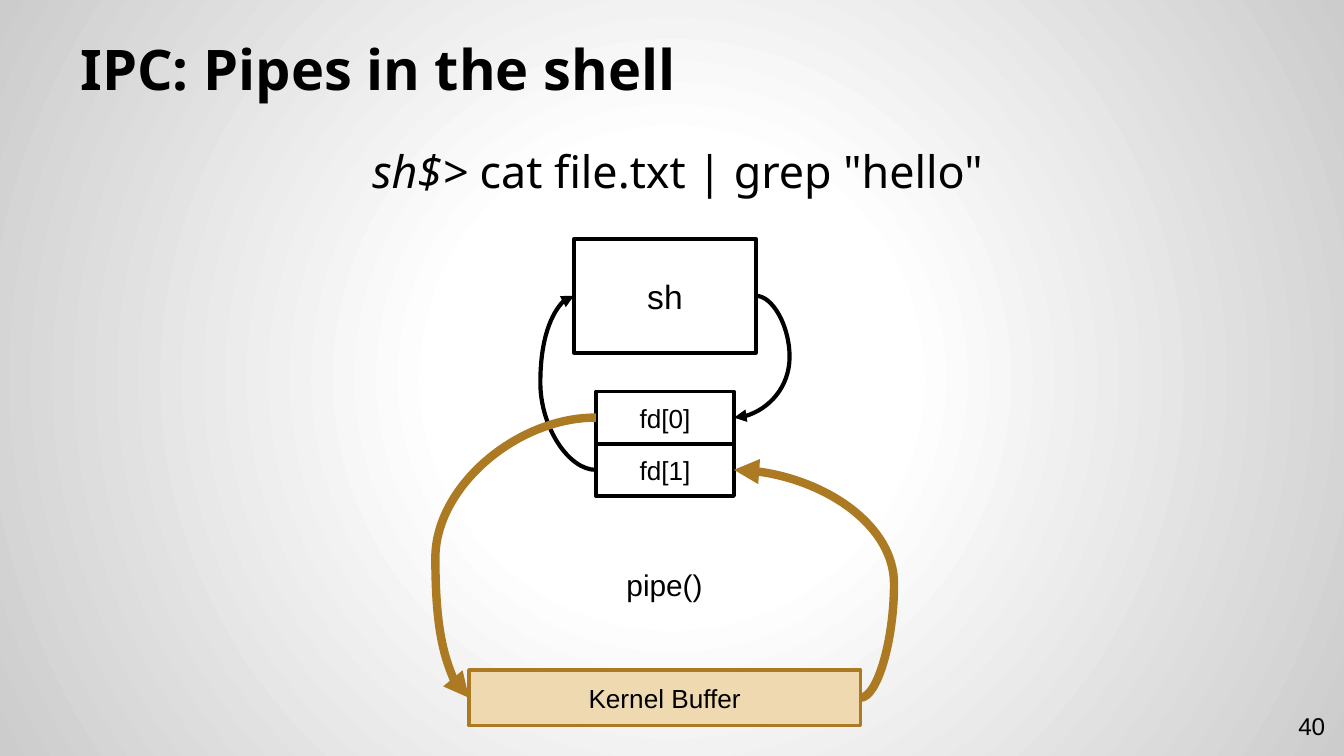
from lxml import etree
from pptx import Presentation
from pptx.dml.color import RGBColor
from pptx.enum.shapes import MSO_CONNECTOR, MSO_SHAPE
from pptx.enum.text import MSO_ANCHOR, PP_ALIGN
from pptx.oxml import parse_xml
from pptx.oxml.ns import nsdecls, qn
from pptx.util import Pt

RECTANGLE = MSO_SHAPE.RECTANGLE
CURVE = MSO_CONNECTOR.CURVE
TOP, MIDDLE, BOTTOM = MSO_ANCHOR.TOP, MSO_ANCHOR.MIDDLE, MSO_ANCHOR.BOTTOM
LEFT, CENTER, RIGHT = PP_ALIGN.LEFT, PP_ALIGN.CENTER, PP_ALIGN.RIGHT
LEFT_SITE, RIGHT_SITE = 1, 3

COLORS = {
    "black": "000000",
    "white": "FFFFFF",
    "edge gray": "CCCCCC",
    "gold": "AB7A22",
    "sand": "EFD9B0",
}
HEADING_FONT, DIAGRAM_FONT = "Noto Sans", "Arial"


def rgb(name):
    return RGBColor.from_string(COLORS[name])


class SlideBuilder:
    def __init__(self, slide):
        self.slide = slide

    def radial_background(self, inner, outer):
        stops = "".join(
            f'<a:gs pos="{position}"><a:srgbClr val="{COLORS[color]}"/></a:gs>'
            for position, color in ((0, inner), (30000, inner), (100000, outer))
        )
        background = parse_xml(
            f'<p:bg {nsdecls("p", "a")}><p:bgPr><a:gradFill><a:gsLst>{stops}</a:gsLst>'
            '<a:path path="circle"><a:fillToRect l="50000" t="50000" r="50000" b="50000"/>'
            "</a:path></a:gradFill><a:effectLst/></p:bgPr></p:bg>"
        )
        self.slide.element.cSld.insert(0, background)

    def add_runs(self, shape, runs, size, font, align, anchor):
        """Fill a shape with one paragraph; runs are (text, style) pairs."""
        frame = shape.text_frame
        frame.word_wrap = True
        frame.vertical_anchor = anchor
        paragraph = frame.paragraphs[0]
        paragraph.alignment = align
        for text, style in runs:
            run = paragraph.add_run()
            run.text = text
            run.font.name = font
            run.font.size = Pt(size)
            run.font.bold = style == "bold"
            run.font.italic = style == "italic"
            run.font.color.rgb = rgb("black")
        return paragraph

    def text(self, box, runs, size, font, align=CENTER, anchor=TOP, inset=7.2):
        shape = self.slide.shapes.add_textbox(*map(Pt, box))
        frame = shape.text_frame
        frame.margin_left = frame.margin_right = Pt(7.2)
        frame.margin_top = frame.margin_bottom = Pt(inset)
        return self.add_runs(shape, runs, size, font, align, anchor)

    def block(self, box, label, size, fill="white", line="black"):
        shape = self.slide.shapes.add_shape(RECTANGLE, *map(Pt, box))
        shape.shadow.inherit = False
        shape.fill.solid()
        shape.fill.fore_color.rgb = rgb(fill)
        shape.line.color.rgb = rgb(line)
        shape.line.width = Pt(2)
        self.add_runs(shape, [(label, None)], size, DIAGRAM_FONT, CENTER, MIDDLE)
        return shape

    def curved_arrow(self, start, end, site, bulge_x, color="black", width=2.25):
        """Join the same side of two blocks with a curve reaching out to bulge_x."""
        begin_x, end_x = (
            block.left + (block.width if site == RIGHT_SITE else 0)
            for block in (start, end)
        )
        begin_y, end_y = (block.top + block.height // 2 for block in (start, end))
        arrow = self.slide.shapes.add_connector(CURVE, begin_x, begin_y, end_x, end_y)
        arrow.begin_connect(start, site)
        arrow.end_connect(end, site)
        arrow.line.color.rgb = rgb(color)
        arrow.line.width = Pt(width)
        properties = arrow.element.spPr
        etree.SubElement(properties.find(qn("a:ln")), qn("a:tailEnd"), type="triangle")
        etree.SubElement(properties, qn("a:effectLst"))
        adjustment = round(100000 * (Pt(bulge_x) - begin_x) / (end_x - begin_x))
        guides = properties.find(qn("a:prstGeom")).get_or_add_avLst()
        etree.SubElement(guides, qn("a:gd"), name="adj1", fmla=f"val {adjustment}")


def main():
    presentation = Presentation()
    presentation.slide_width, presentation.slide_height = Pt(720), Pt(405)
    slide = presentation.slides.add_slide(presentation.slide_layouts[6])
    builder = SlideBuilder(slide)
    builder.radial_background("white", "edge gray")

    builder.text((36, 16.5, 648, 45), [("IPC: Pipes in the shell", "bold")],
                 30, HEADING_FONT, LEFT, BOTTOM)
    command = builder.text(
        (36, 70, 648, 317.5),
        [("sh$> ", "italic"), ('cat file.txt | grep "hello"', None)],
        24, HEADING_FONT,
    )
    command._p.get_or_add_pPr().set("marL", str(Pt(6)))
    builder.text((674, 373.5, 43, 31), [("40", None)], 13, DIAGRAM_FONT, RIGHT, MIDDLE)

    shell = builder.block((307.5, 128, 97.5, 61), "sh", 18)
    read_end, write_end = (
        builder.block((319.25, 209.75 + 28 * index, 74, 28), f"fd[{index}]", 14)
        for index in range(2)
    )
    builder.text((321, 300, 70, 27), [("pipe()", None)], 16, DIAGRAM_FONT, inset=3.6)
    kernel_buffer = builder.block((251.25, 359, 209.75, 29.75), "Kernel Buffer", 14,
                                  "sand", "gold")

    builder.curved_arrow(shell, read_end, RIGHT_SITE, 423)
    builder.curved_arrow(write_end, shell, LEFT_SITE, 289.5)
    builder.curved_arrow(read_end, kernel_buffer, LEFT_SITE, 233.25, "gold", 4.5)
    builder.curved_arrow(kernel_buffer, write_end, RIGHT_SITE, 479, "gold", 4.5)

    presentation.save("out.pptx")


if __name__ == "__main__":
    main()
